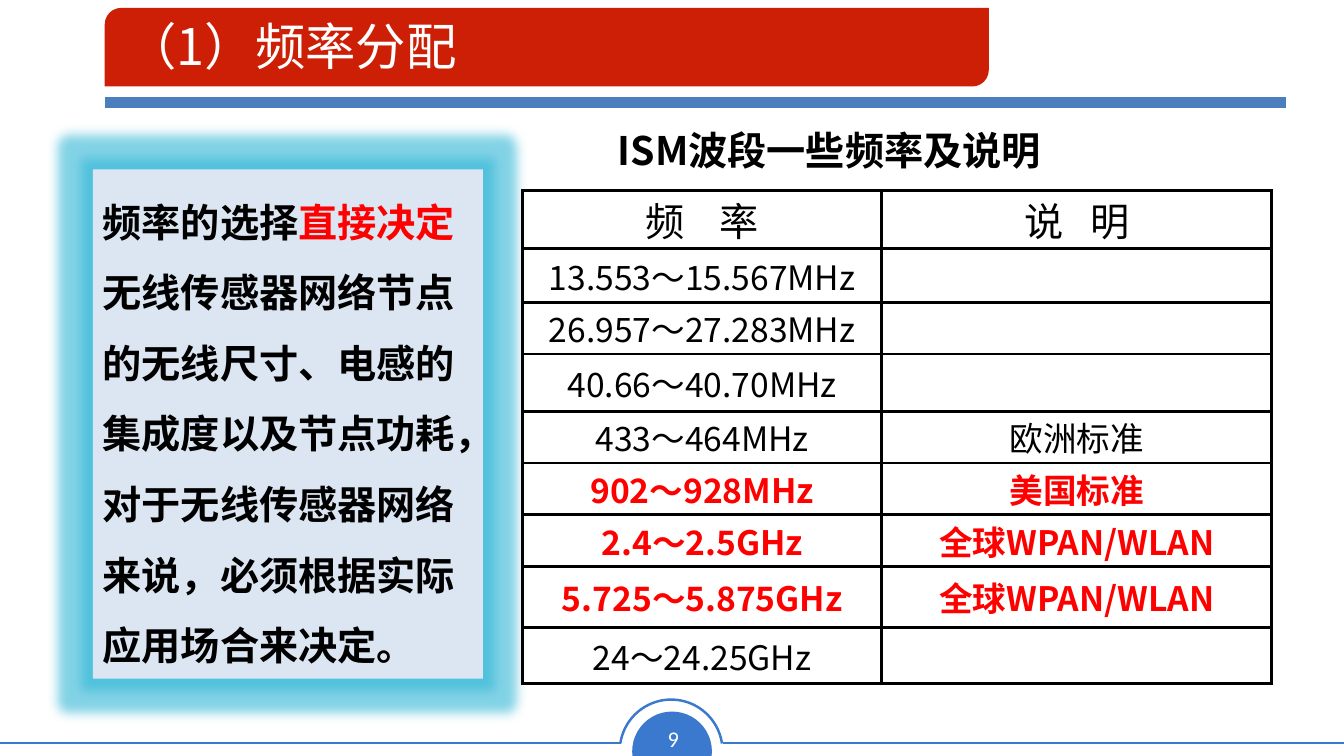
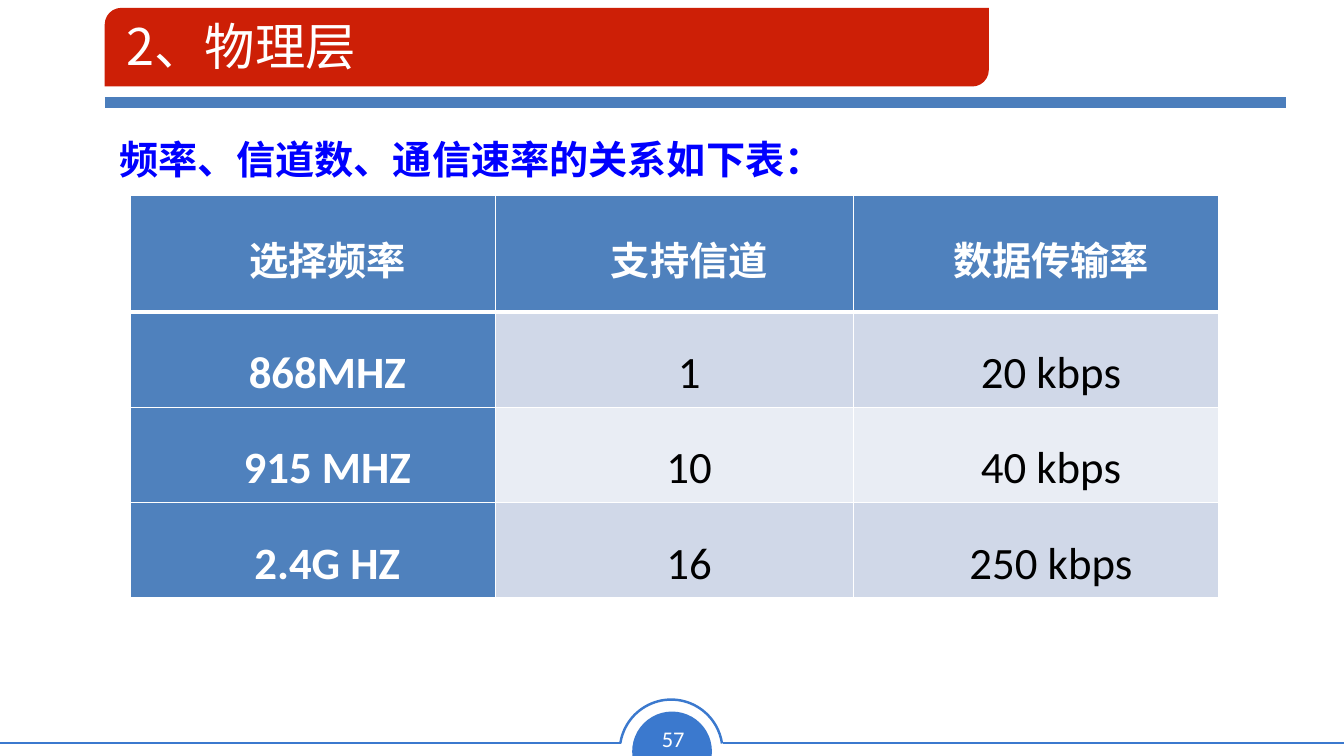
from dataclasses import dataclass

from lxml.etree import SubElement
from pptx import Presentation
from pptx.dml.color import RGBColor
from pptx.enum.shapes import MSO_CONNECTOR, MSO_SHAPE
from pptx.enum.text import MSO_ANCHOR, MSO_AUTO_SIZE, PP_ALIGN
from pptx.oxml import parse_xml
from pptx.oxml.ns import nsdecls, qn
from pptx.util import Cm, Pt


@dataclass(frozen=True)
class Theme:
    # Colours
    white: str = "FFFFFF"
    black: str = "000000"
    red: str = "FF0000"
    blue: str = "0000FF"
    banner: str = "CD1F06"
    rule: str = "4B7EBC"
    badge: str = "3B79CE"
    panel: str = "DCE6F2"
    glow: str = "31B6D6"
    header: str = "4F81BD"
    band_dark: str = "D0D8E8"
    band_light: str = "E9EDF4"
    # Type
    chinese: str = "Noto Sans CJK SC"
    latin: str = "Calibri"
    title: int = 36
    figure: int = 32
    body: int = 28
    cell: int = 24
    number: int = 16


THEME = Theme()


class SlideBuilder:
    def __init__(self, deck, theme):
        self.deck = deck
        self.theme = theme
        self.page = None

    # Page frame: badge, rule, banner and title
    def new_page(self, title, number):
        theme = self.theme
        self.page = self.deck.slides.add_slide(self.deck.slide_layouts[5])
        chord = self.shape(MSO_SHAPE.CHORD, 15.93, 17.93, 2.01, 2.01,
                           fill=theme.badge, adjust=(35.77, 153.29))
        chord.rotation = 112.4
        self.line(18.21, 33.87, 18.72, theme.badge, 1.77)
        self.line(0, 15.65, 18.72, theme.badge, 1.77)
        self.shape(MSO_SHAPE.ARC, 15.62, 17.63, 2.59, 2.59,
                   outline=theme.badge, adjust=(113.17, 210.98))
        para = self.text_box(16.38, 18.14, 1.17, 0.94, wrap=False)
        para.alignment = PP_ALIGN.CENTER
        self.span(para, number, theme.number, theme.white, face=theme.latin)
        self.line(2.64, 32.41, 2.59, theme.rule, 8)
        self.shape(MSO_SHAPE.ROUND_2_DIAG_RECTANGLE, 2.64, 0.2, 22.28, 1.98,
                   fill=theme.banner, adjust=(0.21, 0))
        self.title(title)

    def title(self, text):
        box = self.page.shapes.title
        box.left, box.top, box.width, box.height = Cm(2.93), Cm(0.21), Cm(29.39), Cm(1.88)
        box.element.getparent().append(box.element)  # in front of the banner
        frame = box.text_frame
        frame.auto_size = MSO_AUTO_SIZE.NONE
        frame.vertical_anchor = MSO_ANCHOR.MIDDLE
        para = frame.paragraphs[0]
        para.alignment = PP_ALIGN.LEFT
        self.span(para, text, self.theme.title, self.theme.white)

    # Basic elements
    def shape(self, kind, left, top, width, height, fill=None, outline=None, adjust=()):
        box = self.page.shapes.add_shape(kind, Cm(left), Cm(top), Cm(width), Cm(height))
        box.shadow.inherit = False
        for index, value in enumerate(adjust):
            box.adjustments[index] = value
        if fill:
            box.fill.solid()
            box.fill.fore_color.rgb = RGBColor.from_string(fill)
        else:
            box.fill.background()
        if outline:
            box.line.color.rgb = RGBColor.from_string(outline)
            box.line.width = Pt(1.77)
        else:
            box.line.fill.background()
        return box

    def line(self, start, end, top, color, width):
        rule = self.page.shapes.add_connector(
            MSO_CONNECTOR.STRAIGHT, Cm(start), Cm(top), Cm(end), Cm(top))
        rule.line.color.rgb = RGBColor.from_string(color)
        rule.line.width = Pt(width)
        SubElement(rule.element.spPr, qn("a:effectLst"))

    def text_box(self, left, top, width, height, wrap=True):
        box = self.page.shapes.add_textbox(Cm(left), Cm(top), Cm(width), Cm(height))
        box.text_frame.word_wrap = wrap
        box.text_frame.auto_size = MSO_AUTO_SIZE.SHAPE_TO_FIT_TEXT
        return box.text_frame.paragraphs[0]

    def span(self, para, text, size, color, bold=False, face=None, tracking=0):
        run = para.add_run()
        run.text = text
        run.font.size = Pt(size)
        run.font.bold = bold
        run.font.name = face or self.theme.chinese
        run.font.color.rgb = RGBColor.from_string(color)
        properties = run.font._element
        SubElement(properties, qn("a:ea"), typeface=self.theme.chinese)
        if tracking:
            properties.set("spc", str(tracking * 100))

    def glowing_panel(self, left, top, width, height):
        theme = self.theme
        panel = self.shape(MSO_SHAPE.RECTANGLE, left, top, width, height, fill=theme.panel)
        effects = panel.element.spPr.find(qn("a:effectLst"))
        effects.append(parse_xml(
            f'<a:glow {nsdecls("a")} rad="{Cm(0.58)}">'
            f'<a:srgbClr val="{theme.glow}"><a:alpha val="60000"/></a:srgbClr></a:glow>'))
        frame = panel.text_frame
        frame.word_wrap = True
        frame.auto_size = MSO_AUTO_SIZE.SHAPE_TO_FIT_TEXT
        frame.vertical_anchor = MSO_ANCHOR.TOP
        para = frame.paragraphs[0]
        para.alignment = PP_ALIGN.LEFT
        para.line_spacing = 1.5
        return para

    # Tables
    def table(self, left, top, columns, rows):
        frame = self.page.shapes.add_table(
            len(rows), len(columns), Cm(left), Cm(top), Cm(sum(columns)), Cm(sum(rows)))
        table = frame.table
        table.first_row = table.horz_banding = False
        for column, width in zip(table.columns, columns):
            column.width = Cm(width)
        for row, height in zip(table.rows, rows):
            row.height = Cm(height)
        return table

    def cell(self, cell, color, widths, fill=None):
        """Format a cell; widths are the left, right, top and bottom borders."""
        cell.margin_left = cell.margin_right = Cm(0.18)
        cell.margin_top = cell.margin_bottom = 0
        cell.vertical_anchor = MSO_ANCHOR.MIDDLE
        properties = cell._tc.get_or_add_tcPr()
        for side, width in zip("LRTB", widths):
            properties.append(parse_xml(
                f'<a:ln{side} {nsdecls("a")} w="{Pt(width)}"><a:solidFill>'
                f'<a:srgbClr val="{color}"/></a:solidFill></a:ln{side}>'))
        if fill:
            cell.fill.solid()
            cell.fill.fore_color.rgb = RGBColor.from_string(fill)
        else:
            cell.fill.background()
        para = cell.text_frame.paragraphs[0]
        para.alignment = PP_ALIGN.CENTER
        return para


def frequency_page(builder):
    theme = builder.theme
    builder.new_page("（1）频率分配", "9")

    # Side panel, behind the table so that its glow covers no border
    para = builder.glowing_panel(2.34, 4.27, 9.83, 12.83)
    for text, color in (
        ("频率的选择", theme.black),
        ("直接决定", theme.red),
        ("无线传感器网络节点的无线尺寸、电感的集成度以及节点功耗，"
         "对于无线传感器网络来说，必须根据实际应用场合来决定。", theme.black),
    ):
        builder.span(para, text, theme.body, color, bold=True)

    # Frequency table
    headings = [("频", "率", 19), ("说", "明", 13)]
    bands = [
        ("13.553～15.567MHz", ""),
        ("26.957～27.283MHz", ""),
        ("40.66～40.70MHz", ""),
        ("433～464MHz", "欧洲标准"),
        ("902～928MHz", "美国标准"),
        ("2.4～2.5GHz", "全球WPAN/WLAN"),
        ("5.725～5.875GHz", "全球WPAN/WLAN"),
        ("24～24.25GHz", ""),
    ]
    highlighted = range(4, 7)
    borders = [2.25] * 4
    table = builder.table(13.17, 4.8, [9.05, 9.83],
                          [1.47, 1.35, 1.3, 1.45, 1.3, 1.3, 1.3, 1.55, 1.4])
    for column, (first, last, gap) in enumerate(headings):
        para = builder.cell(table.cell(0, column), theme.black, borders)
        for text, tracking in ((first, 0), (" ", gap), (last, 0)):
            builder.span(para, text, theme.body, theme.black, tracking=tracking)
    for index, band in enumerate(bands):
        marked = index in highlighted
        for column, text in enumerate(band):
            para = builder.cell(table.cell(index + 1, column), theme.black, borders)
            if text:
                builder.span(para, text, theme.cell,
                             theme.red if marked else theme.black, bold=marked)

    # Table caption
    para = builder.text_box(15.32, 3.05, 14.33, 1.45)
    builder.span(para, "ISM波段一些频率及说明", theme.body, theme.black, bold=True)


def physical_layer_page(builder):
    theme = builder.theme
    builder.new_page("2、物理层", "57")

    # Lead-in
    para = builder.text_box(2.75, 3.05, 26.67, 1.7)
    para.line_spacing = 1.2
    builder.span(para, "频率、信道数、通信速率的关系如下表：", theme.body, theme.blue, bold=True)

    # Channel table
    rates = [
        ("选择频率", "支持信道", "数据传输率"),
        ("868MHZ", "1", "20 kbps"),
        ("915 MHZ", "10", "40 kbps"),
        ("2.4G HZ", "16", "250 kbps"),
    ]
    table = builder.table(3.28, 4.93, [9.2, 9.04, 9.2], [2.93] + [2.4] * 3)
    for row, values in enumerate(rates):
        band = theme.band_dark if row % 2 else theme.band_light
        borders = [1, 1, 3 if row == 1 else 1, 3 if row == 0 else 1]
        for column, text in enumerate(values):
            heading = row == 0 or column == 0
            para = builder.cell(table.cell(row, column), theme.white, borders,
                                theme.header if heading else band)
            para.line_spacing = 1.5 if row else 1.15
            para._p.get_or_add_pPr().set("indent", str(Cm(0.74)))
            builder.span(para, text, theme.figure if row else theme.body,
                         theme.white if heading else theme.black,
                         bold=heading, face=theme.latin)


def main():
    deck = Presentation()
    deck.slide_width, deck.slide_height = Cm(33.87), Cm(19.05)
    builder = SlideBuilder(deck, THEME)
    frequency_page(builder)
    physical_layer_page(builder)
    deck.save("out.pptx")


if __name__ == "__main__":
    main()
